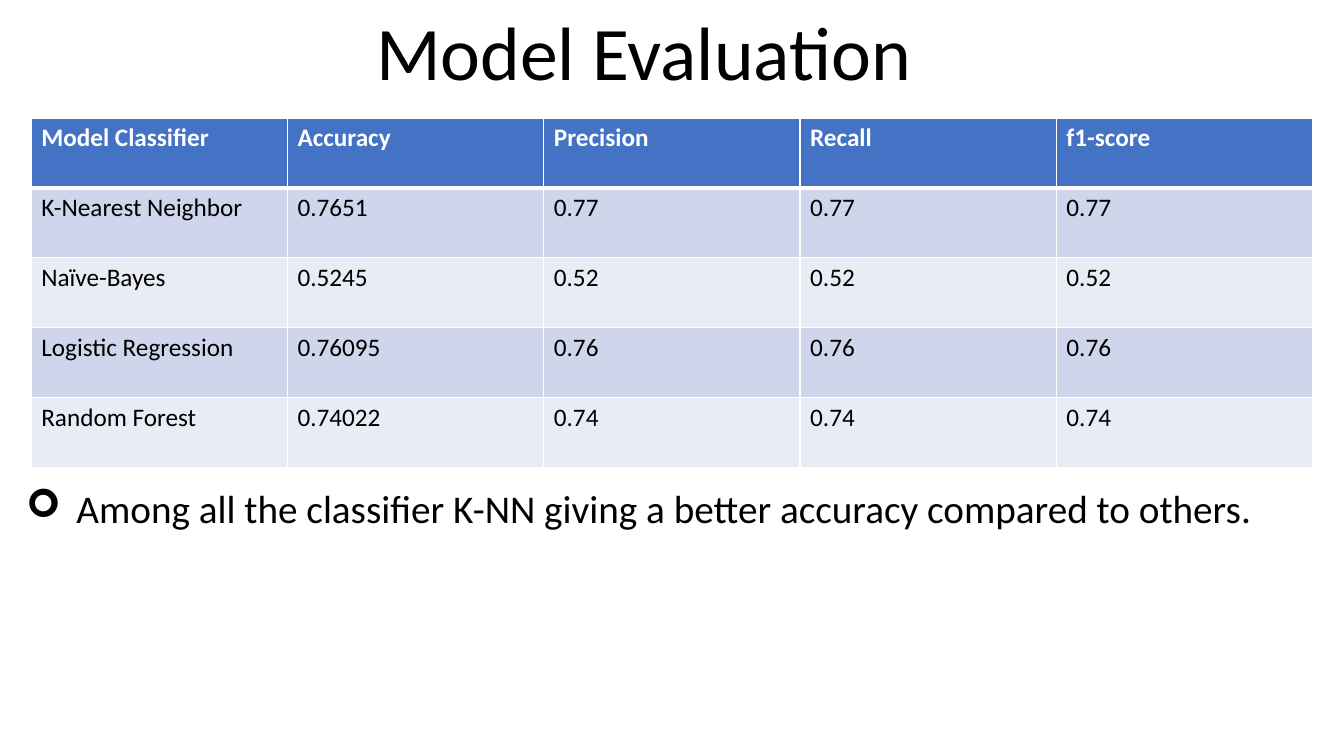
from dataclasses import dataclass

from lxml.etree import SubElement
from pptx import Presentation
from pptx.dml.color import RGBColor
from pptx.enum.text import MSO_ANCHOR, MSO_AUTO_SIZE, PP_ALIGN
from pptx.oxml.ns import qn
from pptx.slide import Slide
from pptx.table import _Cell
from pptx.text.text import _Paragraph
from pptx.util import Inches, Pt


@dataclass(frozen=True)
class Theme:
    font: str = "Calibri"
    title_size: int = 54
    finding_size: int = 28
    table_size: int = 18
    text: str = "000000"
    header_text: str = "FFFFFF"
    header_fill: str = "4472C4"
    band_fills: tuple[str, str] = ("CFD5EA", "E9EBF5")
    border: str = "FFFFFF"
    border_width: int = 1
    header_rule_width: int = 3


@dataclass(frozen=True)
class ModelScore:
    classifier: str
    accuracy: str
    precision: str
    recall: str
    f1_score: str

    def values(self) -> tuple[str, ...]:
        return (self.classifier, self.accuracy, self.precision, self.recall, self.f1_score)


THEME = Theme()
HEADINGS = ("Model Classifier", "Accuracy", "Precision", "Recall", "f1-score")
SCORES = (
    ModelScore("K-Nearest Neighbor", "0.7651", "0.77", "0.77", "0.77"),
    ModelScore("Naïve-Bayes", "0.5245", "0.52", "0.52", "0.52"),
    ModelScore("Logistic Regression", "0.76095", "0.76", "0.76", "0.76"),
    ModelScore("Random Forest", "0.74022", "0.74", "0.74", "0.74"),
)
FINDING = "Among all the classifier K-NN giving a better accuracy compared to others."


def add_run(paragraph: _Paragraph, text: str, size: int, color: str, bold: bool = False) -> None:
    run = paragraph.add_run()
    run.text = text
    run.font.name = THEME.font
    run.font.size = Pt(size)
    run.font.bold = bold
    run.font.color.rgb = RGBColor.from_string(color)


def set_borders(cell: _Cell, top: int, bottom: int) -> None:
    """Draw the four cell edges; must run before the cell is filled."""
    properties = cell._tc.get_or_add_tcPr()
    side = THEME.border_width
    for edge, width in (("L", side), ("R", side), ("T", top), ("B", bottom)):
        line = SubElement(properties, qn(f"a:ln{edge}"), w=str(Pt(width)))
        SubElement(SubElement(line, qn("a:solidFill")), qn("a:srgbClr"), val=THEME.border)


def add_title(slide: Slide) -> None:
    title = slide.shapes.title
    title.left, title.top = Inches(3.6), Inches(0)
    title.width, title.height = Inches(5.57), Inches(1.01)
    frame = title.text_frame
    frame.word_wrap = False
    frame.auto_size = MSO_AUTO_SIZE.SHAPE_TO_FIT_TEXT
    frame.vertical_anchor = MSO_ANCHOR.TOP
    heading = frame.paragraphs[0]
    heading.alignment = PP_ALIGN.CENTER
    heading.line_spacing = 1.0
    heading.space_before = Pt(0)
    add_run(heading, "Model Evaluation", THEME.title_size, THEME.text)


def add_score_table(slide: Slide) -> None:
    rows = (HEADINGS, *(score.values() for score in SCORES))
    table = slide.shapes.add_table(
        len(rows), len(HEADINGS), Inches(0.31), Inches(1.17), Inches(12.71), Inches(3.47)
    ).table
    for row_index, values in enumerate(rows):
        is_header = row_index == 0
        fill = THEME.header_fill if is_header else THEME.band_fills[(row_index - 1) % 2]
        color = THEME.header_text if is_header else THEME.text
        top = THEME.header_rule_width if row_index == 1 else THEME.border_width
        bottom = THEME.header_rule_width if is_header else THEME.border_width
        for column_index, value in enumerate(values):
            cell = table.cell(row_index, column_index)
            set_borders(cell, top, bottom)
            cell.fill.solid()
            cell.fill.fore_color.rgb = RGBColor.from_string(fill)
            add_run(cell.text_frame.paragraphs[0], value, THEME.table_size, color, is_header)


def add_finding(slide: Slide) -> None:
    frame = slide.shapes.add_textbox(
        Inches(0.16), Inches(4.76), Inches(12.89), Inches(0.57)
    ).text_frame
    frame.word_wrap = True
    frame.auto_size = MSO_AUTO_SIZE.SHAPE_TO_FIT_TEXT
    finding = frame.paragraphs[0]
    properties = finding._p.get_or_add_pPr()
    properties.set("marL", str(Inches(0.5)))
    properties.set("indent", str(Inches(-0.5)))
    SubElement(properties, qn("a:buFont"), typeface="Wingdings")
    SubElement(properties, qn("a:buChar"), char="➢")
    add_run(finding, FINDING, THEME.finding_size, THEME.text)


def main() -> None:
    presentation = Presentation()
    presentation.slide_width = Inches(13.33)
    presentation.slide_height = Inches(7.5)
    slide = presentation.slides.add_slide(presentation.slide_layouts[5])
    add_score_table(slide)
    add_title(slide)
    add_finding(slide)
    presentation.save("out.pptx")


if __name__ == "__main__":
    main()
